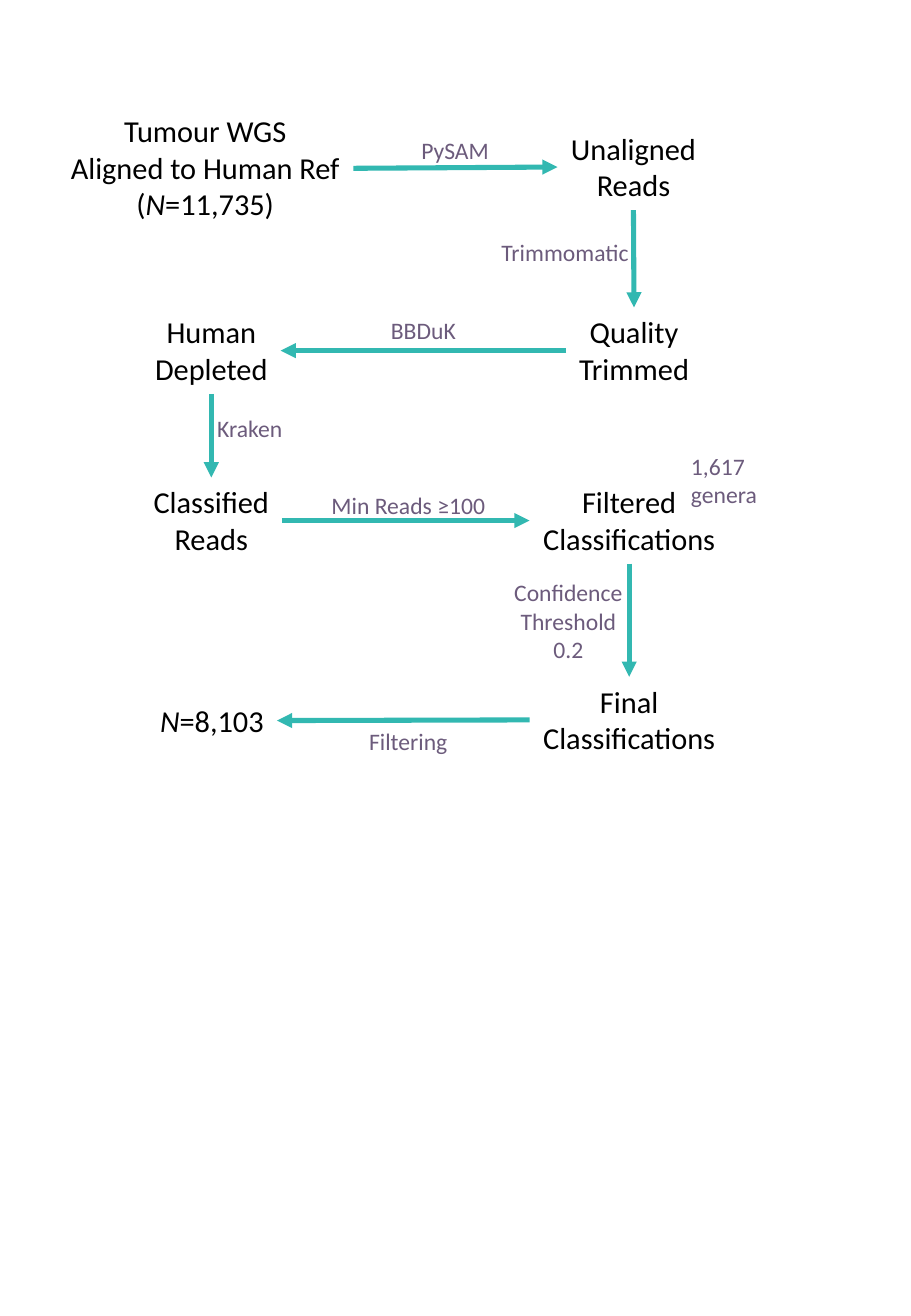
from dataclasses import dataclass

from lxml import etree
from pptx import Presentation
from pptx.dml.color import RGBColor
from pptx.enum import shapes, text
from pptx.oxml.ns import qn
from pptx.util import Pt


@dataclass(frozen=True)
class Theme:
    font: str = "Calibri"
    step_size: int = 18
    label_size: int = 14
    step_color: RGBColor = RGBColor(0x00, 0x00, 0x00)
    label_color: RGBColor = RGBColor(0x6C, 0x5B, 0x7C)
    arrow_color: RGBColor = RGBColor(0x32, 0xB8, 0xB1)
    arrow_width: int = 3
    line_spacing: float = 1.22
    inset: float = 3.6


THEME = Theme()
TOP, LEFT, BOTTOM, RIGHT = range(4)  # connection sites of a text box

# key: (left, top, width, lines); *...* marks italics
STEPS = {
    "tumour": (33.84, 63.2, 175.68, ["Tumour WGS", "Aligned to Human Ref", "(*N*=11,735)"]),
    "unaligned": (330.48, 73.4, 90, ["Unaligned", "Reads"]),
    "trimmed": (335.52, 182.2, 80.64, ["Quality", "Trimmed"]),
    "depleted": (84.24, 182.2, 82.08, ["Human", "Depleted"]),
    "classified": (83.52, 282.9, 83.52, ["Classified", "Reads"]),
    "filtered": (313.92, 282.9, 118.08, ["Filtered", "Classifications"]),
    "final": (313.92, 401, 118.08, ["Final", "Classifications"]),
    "remaining": (87.12, 412.4, 77.04, ["*N*=8,103"]),
}

ARROWS = [
    ("tumour", RIGHT, "unaligned", LEFT),
    ("unaligned", BOTTOM, "trimmed", TOP),
    ("trimmed", LEFT, "depleted", RIGHT),
    ("depleted", BOTTOM, "classified", TOP),
    ("classified", RIGHT, "filtered", LEFT),
    ("filtered", BOTTOM, "final", TOP),
    ("final", LEFT, "remaining", RIGHT),
]

CENTER, START = text.PP_ALIGN.CENTER, text.PP_ALIGN.LEFT
LABELS = [
    (242.64, 77, 54.72, ["PySAM"], START),
    (290.16, 137.5, 90.72, ["Trimmomatic"], START),
    (224.64, 183.6, 60.48, ["BBDuK"], START),
    (121.68, 241.9, 53.28, ["Kraken"], START),
    (189.36, 287.3, 106.56, ["Min Reads ≥100"], START),
    (402.48, 264.2, 54, ["1,617", "genera"], START),
    (297.36, 339.1, 79.2, ["Confidence", "Threshold", "0.2"], CENTER),
    (211.68, 427, 61.92, ["Filtering"], START),
]


def add_text(s, left, top, width, lines, size, color, align):
    """Add a text box as high as its lines; *...* marks italics."""
    height = 2 * THEME.inset + len(lines) * size * THEME.line_spacing
    sp = s.shapes.add_textbox(Pt(left), Pt(top), Pt(width), Pt(height))
    tf = sp.text_frame
    tf.word_wrap = False
    tf.auto_size = text.MSO_AUTO_SIZE.SHAPE_TO_FIT_TEXT
    for i, line in enumerate(lines):
        p = tf.add_paragraph() if i else tf.paragraphs[0]
        p.alignment = align
        for j, part in enumerate(line.split("*")):
            if part:
                r = p.add_run()
                r.text = part
                r.font.name = THEME.font
                r.font.size = Pt(size)
                r.font.color.rgb = color
                r.font.italic = j % 2 == 1
    return sp


def add_step(s, left, top, width, lines):
    return add_text(s, left, top, width, lines, THEME.step_size, THEME.step_color, CENTER)


def add_label(s, left, top, width, lines, align):
    return add_text(s, left, top, width, lines, THEME.label_size, THEME.label_color, align)


def add_arrow(s, start, start_site, end, end_site):
    """Join two steps with an arrow that stays attached to both."""
    arrow = s.shapes.add_connector(shapes.MSO_CONNECTOR.STRAIGHT, 0, 0, 0, 0)
    arrow.begin_connect(start, start_site)
    arrow.end_connect(end, end_site)
    arrow.line.color.rgb = THEME.arrow_color
    arrow.line.width = Pt(THEME.arrow_width)
    ln = arrow.line._get_or_add_ln()
    etree.SubElement(ln, qn("a:tailEnd")).set("type", "triangle")
    etree.SubElement(arrow._element.spPr, qn("a:effectLst"))


def main():
    prs = Presentation()
    prs.slide_width, prs.slide_height = Pt(540), Pt(779.76)
    s = prs.slides.add_slide(prs.slide_layouts[6])
    steps = {key: add_step(s, *step) for key, step in STEPS.items()}
    for start, start_site, end, end_site in ARROWS:
        add_arrow(s, steps[start], start_site, steps[end], end_site)
    for label in LABELS:
        add_label(s, *label)
    prs.save("out.pptx")


if __name__ == "__main__":
    main()
